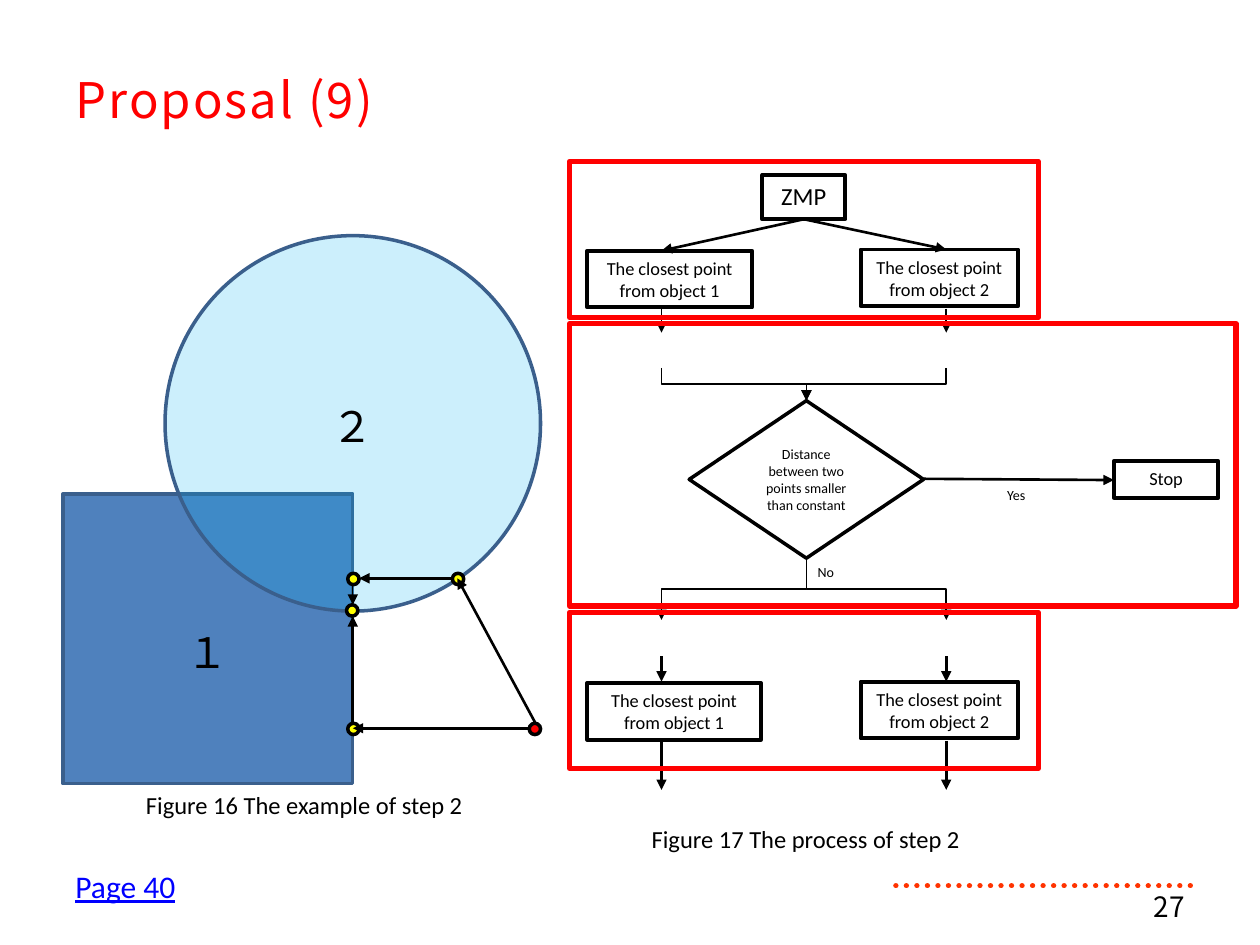
from lxml import etree
from pptx import Presentation
from pptx.dml.color import RGBColor
from pptx.enum.dml import MSO_LINE
from pptx.enum.shapes import MSO_CONNECTOR, MSO_SHAPE
from pptx.enum.text import MSO_ANCHOR, PP_ALIGN
from pptx.oxml.ns import qn
from pptx.util import Inches, Pt

COLORS = {"black": "000000", "red": "FF0000", "yellow": "FFFF00", "blue": "4F81BD",
          "sky": "00B0F0", "edge": "3A5F8C", "link": "0000FF", "rule": "FF3300"}
BODY_FONT, HEAD_FONT = "Calibri", "Noto Sans CJK JP"

# Flow chart columns and the shared centre of the decision
LEFT_X, RIGHT_X, DECISION_X = 5.25, 7.51, 6.4
DOT = 0.09

LABELS = [  # text, (left, top, width, height), format
    ("２", (2.38, 3.13, 0.83, 0.46), {"size": 24}),
    ("１", (1.23, 4.92, 0.83, 0.46), {"size": 24}),
    ("Figure 16 The example of step 2", (0.67, 6.22, 3.49, 0.34), {"size": 14}),
    ("Figure 17 The process of step 2", (4.65, 6.49, 3.49, 0.34), {"size": 14}),
    ("Yes", (7.79, 3.81, 0.55, 0.24), {"size": 8}),
    ("No", (6.28, 4.42, 0.55, 0.24), {"size": 8}),
    ("Page 40", (0.5, 6.83, 1, 0.4),
     {"size": 18, "color": "link", "align": PP_ALIGN.LEFT, "underline": True, "wrap": False}),
    ("27", (7.17, 7.03, 2.33, 0.32),
     {"size": 16, "font": HEAD_FONT, "align": PP_ALIGN.RIGHT, "anchor": MSO_ANCHOR.MIDDLE}),
]
FLOW_BOXES = [  # text, (left, top, width, height), size
    ("Stop", (8.84, 3.66, 0.83, 0.29), 10.5),
    ("ZMP", (6.05, 1.39, 0.66, 0.35), 14),
    ("The closest point from object 1", (4.66, 1.99, 1.31, 0.45), 10.5),
    ("The closest point from object 2", (6.83, 1.98, 1.25, 0.45), 10.5),
    ("The closest point from object 1", (4.66, 5.42, 1.38, 0.45), 10.5),
    ("The closest point from object 2", (6.83, 5.41, 1.25, 0.45), 10.5),
]
FLOW_ARROWS = [  # start, end, width
    ((6.38, 1.74), (LEFT_X, 1.99), 1.5),
    ((6.38, 1.74), (RIGHT_X, 1.98), 1.5),
    ((7.33, 3.8), (8.84, 3.81), 1.5),
]
COLUMN_ARROWS = [  # top, bottom, width; drawn in both columns
    (2.45, 2.64, 1), (5.21, 5.41, 1.5), (5.88, 6.27, 1.5),
]
ELBOWS = [
    ((LEFT_X, 2.92), (DECISION_X, 3.18)),
    ((RIGHT_X, 2.92), (DECISION_X, 3.18)),
    ((DECISION_X, 4.43), (LEFT_X, 4.92)),
    ((DECISION_X, 4.43), (RIGHT_X, 4.92)),
]
STEP_FRAMES = [(4.52, 1.28, 3.72, 1.24), (4.52, 2.57, 5.29, 2.24), (4.52, 4.86, 3.72, 1.24)]
DOTS = [  # left, top, fill
    (4.2, 5.74, "red"), (2.76, 5.74, "yellow"), (3.59, 4.55, "yellow"),
    (2.76, 4.55, "yellow"), (2.75, 4.8, "yellow"),
]
POINT_ARROWS = [
    ((4.2, 5.78), (2.8, 5.78), 1.5),
    ((4.25, 5.74), (3.63, 4.59), 1.5),
    ((3.59, 4.59), (2.85, 4.59), 1.5),
    ((2.8, 5.74), (2.8, 4.89), 1.5),
    ((2.8, 4.63), (2.8, 4.8), 0.75),
]


def rgb(name):
    return RGBColor.from_string(COLORS[name])


def write(shape, text, size, font=BODY_FONT, color="black", align=PP_ALIGN.CENTER,
          anchor=MSO_ANCHOR.TOP, underline=None, wrap=True):
    frame = shape.text_frame
    frame.word_wrap = wrap
    frame.vertical_anchor = anchor
    paragraph = frame.paragraphs[0]
    paragraph.alignment = align
    span = paragraph.add_run()
    span.text = text
    span.font.name, span.font.size = font, Pt(size)
    span.font.color.rgb = rgb(color)
    span.font.underline = underline
    return span


def add_label(page, text, place, **style):
    write(page.shapes.add_textbox(*map(Inches, place)), text, **style)


def add_outline(page, kind, place, line, width, fill=None, opacity=None):
    shape = page.shapes.add_shape(kind, *map(Inches, place))
    shape.shadow.inherit = False
    shape.line.color.rgb = rgb(line)
    shape.line.width = Pt(width)
    if fill is None:
        shape.fill.background()
        return shape
    shape.fill.solid()
    shape.fill.fore_color.rgb = rgb(fill)
    if opacity:
        color = shape.fill._xPr.find(".//" + qn("a:srgbClr"))
        etree.SubElement(color, qn("a:alpha")).set("val", str(opacity * 1000))
    return shape


def add_line(page, start, end, width, color="black", kind=MSO_CONNECTOR.STRAIGHT, arrow=True):
    line = page.shapes.add_connector(kind, *map(Inches, (*start, *end)))
    line.line.color.rgb = rgb(color)
    line.line.width = Pt(width)
    properties = line._element.spPr
    if arrow:
        etree.SubElement(properties.find(qn("a:ln")), qn("a:tailEnd")).set("type", "triangle")
    etree.SubElement(properties, qn("a:effectLst"))
    return line


def add_elbow(page, start, end):
    """Draw a down-across-down arrow: an elbow turned a quarter about its centre."""
    (x1, y1), (x2, y2) = start, end
    middle_x, middle_y = (x1 + x2) / 2, (y1 + y2) / 2
    half_width, half_height = abs(y2 - y1) / 2, abs(x2 - x1) / 2
    elbow = add_line(page, (middle_x - half_width, middle_y - half_height),
                     (middle_x + half_width, middle_y + half_height), 1,
                     kind=MSO_CONNECTOR.ELBOW)
    transform = elbow._element.spPr.find(qn("a:xfrm"))
    rightward = x2 > x1
    transform.set("rot", str((270 if rightward else 90) * 60000))
    if rightward:
        transform.set("flipH", "1")


def add_title(page, text):
    title = page.shapes.title
    title.left, title.top, title.width, title.height = map(Inches, (0.5, 0.31, 9, 0.86))
    span = write(title, text, 28, font=HEAD_FONT, color="red", align=PP_ALIGN.LEFT,
                 anchor=MSO_ANCHOR.MIDDLE)
    span._r.get_or_add_rPr().set("spc", "120")
    title.text_frame.paragraphs[0].line_spacing = 1.2


def main():
    deck = Presentation()
    deck.slide_width, deck.slide_height = Inches(10), Inches(7.5)
    page = deck.slides.add_slide(deck.slide_layouts[5])
    add_title(page, "Proposal (9)")

    rule = add_line(page, (7.11, 7.03), (9.53, 7.03), 3, color="rule", arrow=False)
    rule.line.dash_style = MSO_LINE.ROUND_DOT
    rule._element.spPr.find(qn("a:ln")).set("cap", "rnd")

    add_outline(page, MSO_SHAPE.RECTANGLE, (0.5, 3.92, 2.3, 2.3), "edge", 2, "blue")
    add_outline(page, MSO_SHAPE.OVAL, (1.31, 1.87, 2.98, 2.98), "edge", 2, "sky", opacity=20)

    for text, place, size in FLOW_BOXES:
        write(add_outline(page, MSO_SHAPE.RECTANGLE, place, "black", 2.25), text, size)
    decision = add_outline(page, MSO_SHAPE.FLOWCHART_DECISION, (5.47, 3.18, 1.86, 1.25),
                           "black", 2)
    write(decision, "Distance between two points smaller than constant", 8,
          anchor=MSO_ANCHOR.MIDDLE)
    for start, end in ELBOWS:
        add_elbow(page, start, end)
    for top, bottom, width in COLUMN_ARROWS:
        for x in (LEFT_X, RIGHT_X):
            add_line(page, (x, top), (x, bottom), width)

    for place in STEP_FRAMES:
        add_outline(page, MSO_SHAPE.RECTANGLE, place, "red", 3)
    for left, top, fill in DOTS:
        add_outline(page, MSO_SHAPE.OVAL, (left, top, DOT, DOT), "black", 2, fill)
    for start, end, width in FLOW_ARROWS + POINT_ARROWS:
        add_line(page, start, end, width)
    for text, place, style in LABELS:
        add_label(page, text, place, **style)
    deck.save("out.pptx")


if __name__ == "__main__":
    main()
